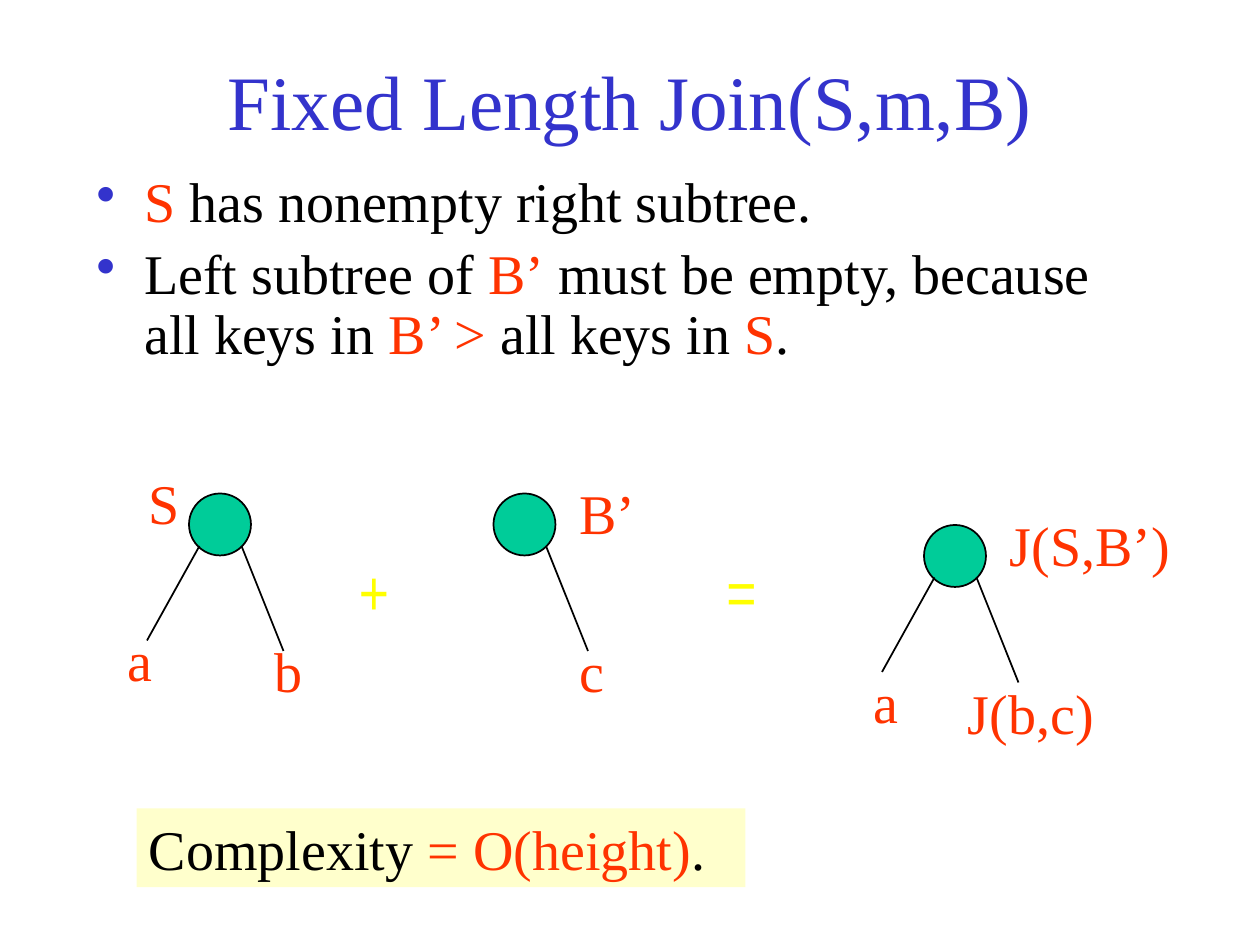
from lxml import etree
from pptx import Presentation
from pptx.dml.color import RGBColor
from pptx.enum.shapes import MSO_CONNECTOR, MSO_SHAPE
from pptx.enum.text import MSO_ANCHOR, PP_ALIGN
from pptx.oxml.ns import qn
from pptx.util import Inches, Pt

OVAL, RECTANGLE = MSO_SHAPE.OVAL, MSO_SHAPE.RECTANGLE
STRAIGHT = MSO_CONNECTOR.STRAIGHT
CENTER, LEFT = PP_ALIGN.CENTER, PP_ALIGN.LEFT
MIDDLE, TOP = MSO_ANCHOR.MIDDLE, MSO_ANCHOR.TOP

BLACK = RGBColor(0x00, 0x00, 0x00)
BLUE = RGBColor(0x33, 0x33, 0xCC)
RED = RGBColor(0xFF, 0x33, 0x00)
GREEN = RGBColor(0x00, 0xCC, 0x99)
YELLOW = RGBColor(0xFF, 0xFF, 0x00)
CREAM = RGBColor(0xFF, 0xFF, 0xCC)
SERIF, NARROW = "Times New Roman", "Arial Narrow"

# Slide grid: 120 columns by 90 rows
deck = Presentation()
deck.slide_width, deck.slide_height = Inches(10), Inches(7.5)
COLUMN, ROW = deck.slide_width // 120, deck.slide_height // 90
page = deck.slides.add_slide(deck.slide_layouts[6])


def cells(left, top, width, height):
    return left * COLUMN, top * ROW, int(width * COLUMN), int(height * ROW)


def write(box, paragraphs, size=32, font=SERIF, align=LEFT, anchor=TOP, wrap=True):
    """Fill a box with paragraphs, each a list of (text, colour) spans."""
    frame = box.text_frame
    frame.word_wrap, frame.vertical_anchor = wrap, anchor
    for index, spans in enumerate(paragraphs):
        para = frame.add_paragraph() if index else frame.paragraphs[0]
        para.alignment = align
        for text, color in spans:
            span = para.add_run()
            span.text = text
            for name, value in {"size": Pt(size), "name": font}.items():
                setattr(span.font, name, value)
            span.font.color.rgb = color
    return frame


# Title
title = page.shapes.add_textbox(*cells(9, 2, 102, 15))
write(title, [[("Fixed Length Join(S,m,B)", BLUE)]], 44, align=CENTER, anchor=MIDDLE)

# Bulleted statements
body = page.shapes.add_textbox(*cells(8, 16, 102, 20))
statements = write(body, [
    [("S", RED), (" has nonempty right subtree.", BLACK)],
    [("Left subtree of ", BLACK), ("B’", RED),
     (" must be empty, because all keys in ", BLACK), ("B’ >", RED),
     (" all keys in ", BLACK), ("S", RED), (".", BLACK)],
])
for index, para in enumerate(statements.paragraphs):
    para.line_spacing = 0.9
    para.space_before = Pt(6.4 if index else 0)
    settings = para._p.get_or_add_pPr()
    settings.set("marL", str(Inches(0.38)))
    settings.set("indent", str(-Inches(0.38)))
    bullet_color = etree.SubElement(settings, qn("a:buClr"))
    etree.SubElement(bullet_color, qn("a:srgbClr"), val=str(BLUE))
    etree.SubElement(settings, qn("a:buChar"), char="•")

# Trees: root cell, edges and labels; edges and labels are offsets from the root
LEFT_EDGE, RIGHT_EDGE = (1, 5, -4, 14), (5, 5, 9, 15)
trees = [
    (18, 47, [LEFT_EDGE, RIGHT_EDGE],
     [("S", -5, -3, 11), ("a", -7, 12, 9), ("b", 7, 13, 6)]),
    (47, 47, [RIGHT_EDGE],
     [("B’", 7, -2, 11), ("c", 7, 13, 9)]),
    (88, 50, [LEFT_EDGE, RIGHT_EDGE],
     [("J(S,B’)", 7, -2, 25), ("a", -6, 13, 9), ("J(b,c)", 3, 14, 25)]),
]
for column, row, edges, labels in trees:
    tree = page.shapes.add_group_shape().shapes
    node = tree.add_shape(OVAL, *cells(column, row, 5.9, 5.9))
    node.shadow.inherit = False
    node.fill.solid()
    node.fill.fore_color.rgb = GREEN
    node.line.color.rgb, node.line.width = BLACK, Pt(1)
    for x1, y1, x2, y2 in edges:
        edge = tree.add_connector(
            STRAIGHT, (column + x1) * COLUMN, (row + y1) * ROW,
            (column + x2) * COLUMN, (row + y2) * ROW)
        edge.line.color.rgb, edge.line.width = BLACK, Pt(1)
        etree.SubElement(edge._element.spPr, qn("a:effectLst"))
    for text, dx, dy, width in labels:
        label = tree.add_textbox(*cells(column + dx, row + dy, width, 7.5))
        write(label, [[(text, RED)]])

# Operators between the trees
for symbol, column in (("+", 33), ("=", 68)):
    operator = page.shapes.add_textbox(*cells(column, 52, 3.25, 7.5))
    write(operator, [[(symbol, YELLOW)]], 36, NARROW, CENTER, wrap=False)

# Complexity banner
banner = page.shapes.add_shape(RECTANGLE, *cells(13, 77, 58, 7.5))
banner.shadow.inherit = False
banner.fill.solid()
banner.fill.fore_color.rgb = CREAM
banner.line.fill.background()
write(banner, [[("Complexity ", BLACK), ("= O(height)", RED), (".", BLACK)]])

deck.save("out.pptx")
